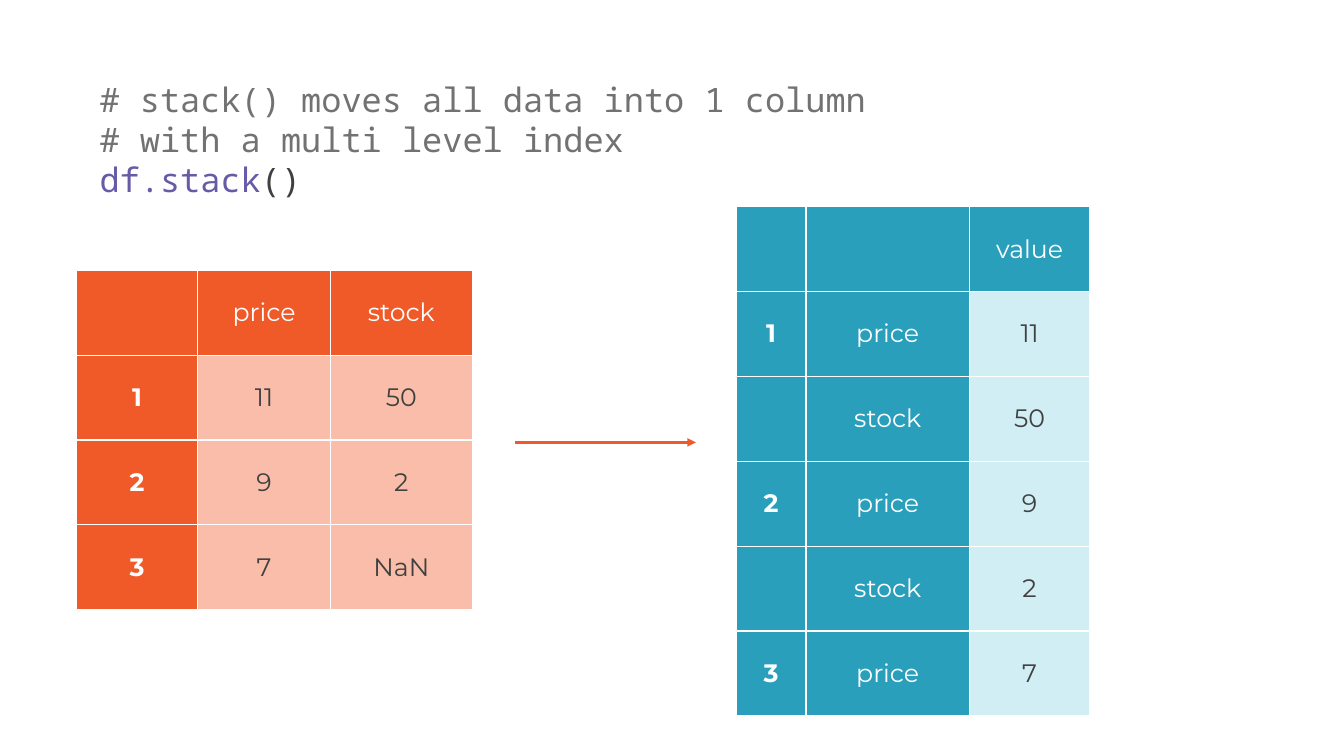
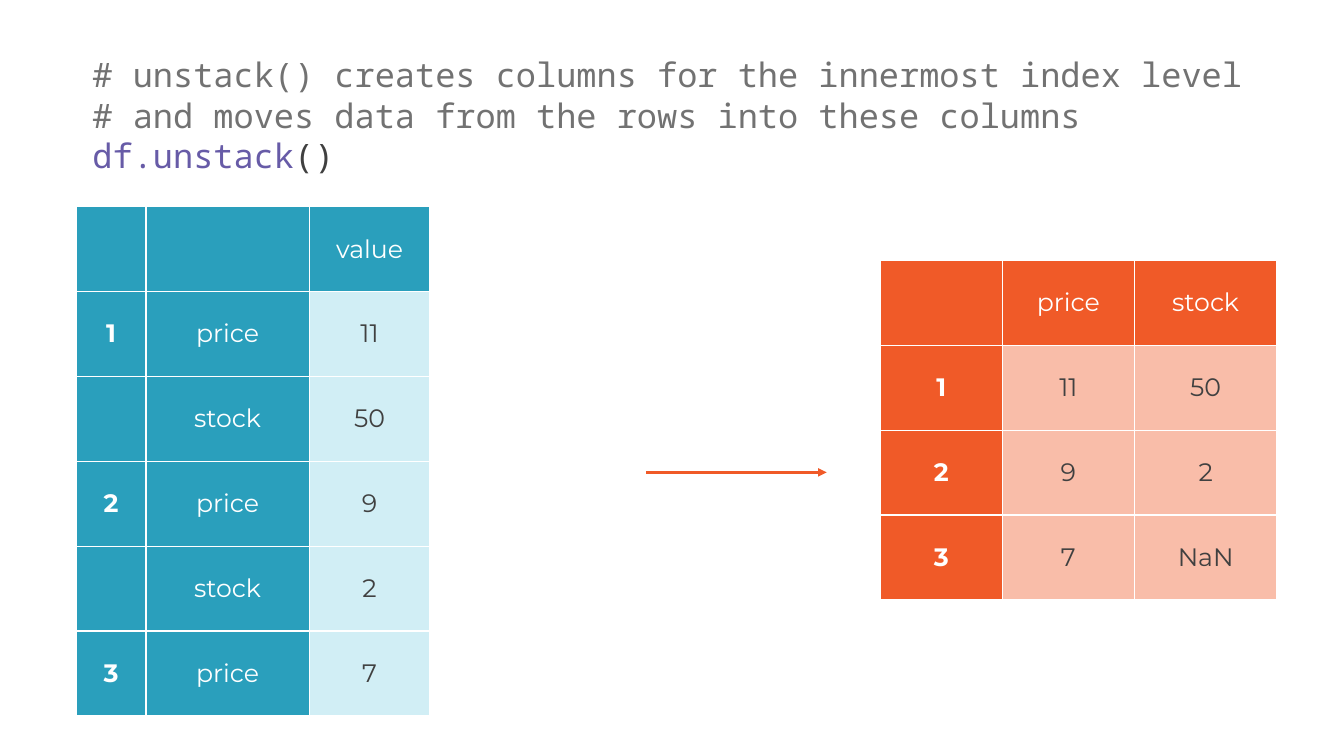
from lxml import etree
from pptx import Presentation
from pptx.dml.color import RGBColor
from pptx.enum import shapes, text
from pptx.oxml import ns
from pptx.util import Pt

# Content: wide and stacked forms of the same data
WIDE = {
    "rows": [
        ("", "price", "stock"),
        ("1", "11", "50"),
        ("2", "9", "2"),
        ("3", "7", "NaN"),
    ],
    "widths": (86.8, 94.6, 101.6),
    "index_columns": 1,
    "head": "orange",
    "body": "pale orange",
}
STACKED = {
    "rows": [
        ("", "", "value"),
        ("1", "price", "11"),
        ("", "stock", "50"),
        ("2", "price", "9"),
        ("", "stock", "2"),
        ("3", "price", "7"),
    ],
    "widths": (50, 116.6, 86.2),
    "index_columns": 2,
    "head": "blue",
    "body": "pale blue",
}

SLIDES = [
    {
        "comments": ["# stack() moves all data into 1 column",
                     "# with a multi level index"],
        "call": "df.stack",
        "code_at": (64, 52.5, 566),
        "tables": [(STACKED, 525.8, 147.6), (WIDE, 54.5, 193)],
        "arrow_at": (368, 316),
    },
    {
        "comments": ["# unstack() creates columns for the innermost index level",
                     "# and moves data from the rows into these columns"],
        "call": "df.unstack",
        "code_at": (59, 35.3, 842),
        "tables": [(STACKED, 54.3, 147.6), (WIDE, 629, 186)],
        "arrow_at": (461.5, 337.4),
    },
]

# Shared look
COLORS = {
    "orange": "F05A28",
    "pale orange": "F9BDA9",
    "blue": "2A9FBC",
    "pale blue": "D1EEF5",
    "white": "FFFFFF",
    "ink": "404040",
    "comment": "727272",
    "code": "675BA7",
}
TABLE_FONT, CODE_FONT = "Montserrat", "Noto Sans Mono"
ROW_HEIGHT = 60.66
CODE_HEIGHT = 94.3
CODE_LEADING = 28.8
ARROW_LENGTH = 129


def rgb(name):
    return RGBColor.from_string(COLORS[name])


def style_run(span, font, size, color, bold=False):
    span.font.name = font
    span.font.size = Pt(size)
    span.font.bold = bold
    span.font.color.rgb = rgb(color)


def add_code(page, comments, call, left, top, width):
    box = page.shapes.add_textbox(Pt(left), Pt(top), Pt(width), Pt(CODE_HEIGHT))
    frame = box.text_frame
    frame.word_wrap = True
    lines = [[(comment, "comment")] for comment in comments]
    lines.append([(call, "code"), ("()", "ink")])
    for number, line in enumerate(lines):
        para = frame.add_paragraph() if number else frame.paragraphs[0]
        para.line_spacing = Pt(CODE_LEADING)
        for words, color in line:
            span = para.add_run()
            span.text = words
            style_run(span, CODE_FONT, 24, color)


def add_borders(cell):
    # Borders must come before the fill in the cell properties
    properties = cell._tc.get_or_add_tcPr()
    for position, side in enumerate(("lnL", "lnR", "lnT", "lnB")):
        border = etree.Element(ns.qn(f"a:{side}"), w=str(Pt(1)))
        fill = etree.SubElement(border, ns.qn("a:solidFill"))
        etree.SubElement(fill, ns.qn("a:srgbClr"), val=COLORS["white"])
        properties.insert(position, border)


def add_data_table(page, data, left, top):
    rows, widths = data["rows"], data["widths"]
    table = page.shapes.add_table(
        len(rows), len(widths), Pt(left), Pt(top),
        Pt(sum(widths)), Pt(ROW_HEIGHT * len(rows))).table
    for column, width in zip(table.columns, widths):
        column.width = Pt(width)
    for r, values in enumerate(rows):
        table.rows[r].height = Pt(ROW_HEIGHT)
        for c, value in enumerate(values):
            cell = table.cell(r, c)
            is_head = r == 0 or c < data["index_columns"]
            cell.fill.solid()
            cell.fill.fore_color.rgb = rgb(data["head" if is_head else "body"])
            add_borders(cell)
            cell.vertical_anchor = text.MSO_ANCHOR.MIDDLE
            cell.text_frame.text = value
            para = cell.text_frame.paragraphs[0]
            para.alignment = text.PP_ALIGN.CENTER
            for span in para.runs:
                style_run(span, TABLE_FONT, 18,
                          "white" if is_head else "ink", bold=c == 0)


def add_arrow(page, left, top):
    arrow = page.shapes.add_connector(
        shapes.MSO_CONNECTOR.STRAIGHT,
        Pt(left), Pt(top), Pt(left + ARROW_LENGTH), Pt(top))
    arrow.line.color.rgb = rgb("orange")
    arrow.line.width = Pt(2)
    etree.SubElement(arrow.line._get_or_add_ln(), ns.qn("a:tailEnd"), type="triangle")
    etree.SubElement(arrow._element.spPr, ns.qn("a:effectLst"))


def main():
    deck = Presentation()
    deck.slide_width, deck.slide_height = Pt(960), Pt(540)
    for content in SLIDES:
        page = deck.slides.add_slide(deck.slide_layouts[6])
        add_code(page, content["comments"], content["call"], *content["code_at"])
        for data, left, top in content["tables"]:
            add_data_table(page, data, left, top)
        add_arrow(page, *content["arrow_at"])
    deck.save("out.pptx")


if __name__ == "__main__":
    main()
